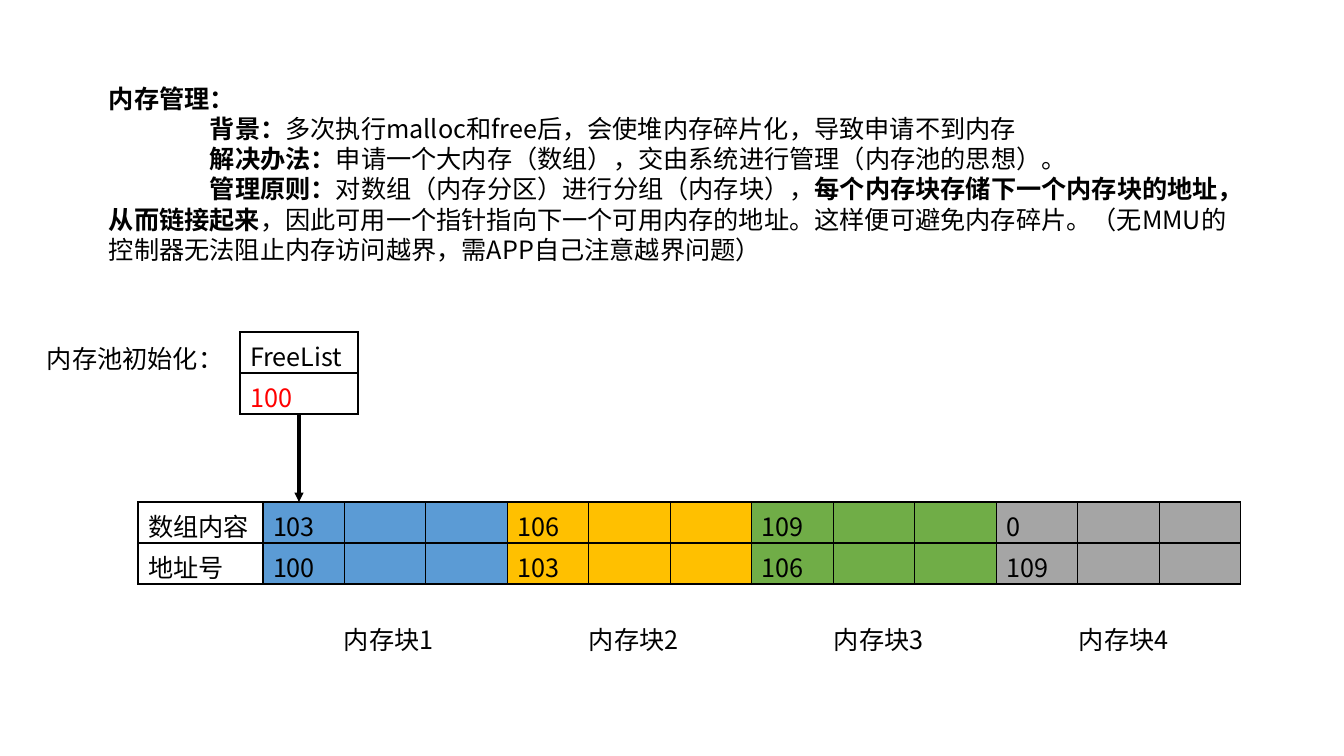
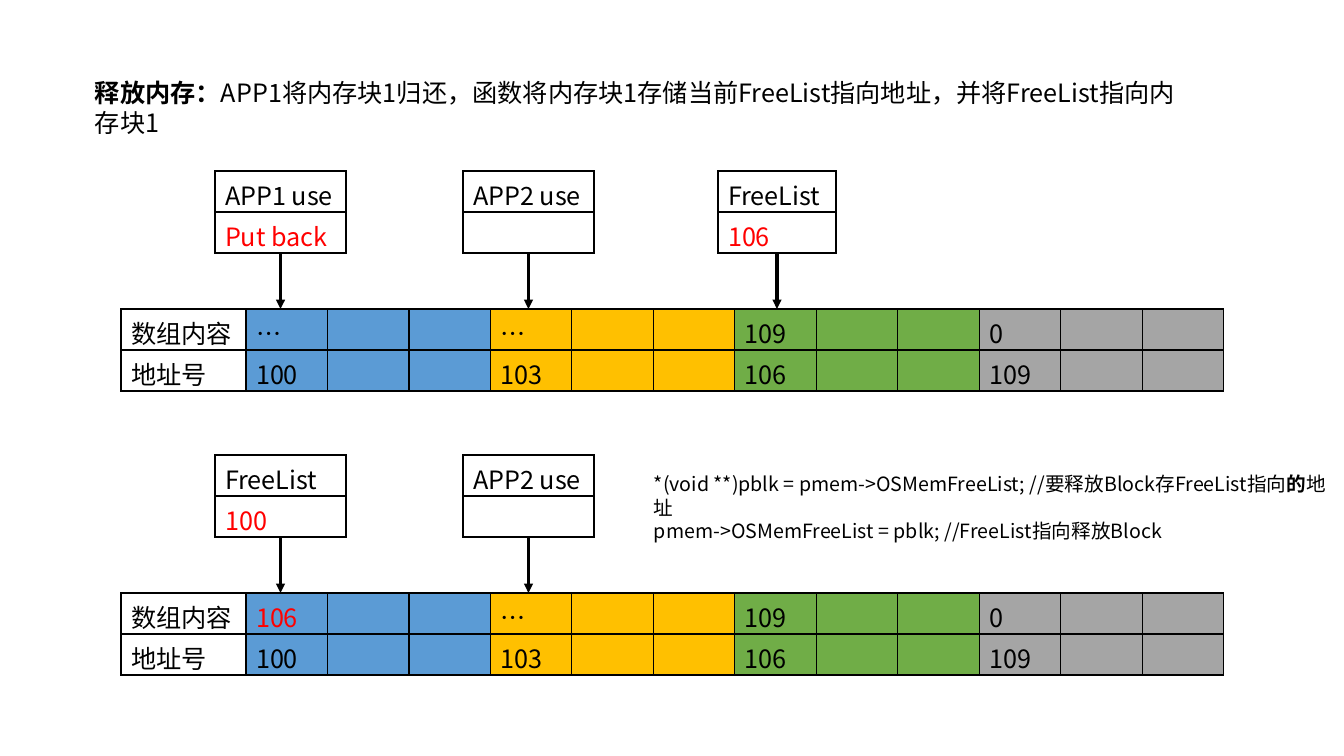
from dataclasses import dataclass
from lxml.etree import SubElement
from pptx import Presentation
from pptx.dml.color import RGBColor
from pptx.enum.shapes import MSO_CONNECTOR as Connector
from pptx.enum.text import MSO_AUTO_SIZE as AutoSize
from pptx.oxml import parse_xml
from pptx.oxml.ns import nsdecls, qn
from pptx.util import Pt


@dataclass(frozen=True)
class Theme:
    font: str = "Noto Sans CJK SC"
    ink: str = "000000"
    accent: str = "FF0000"
    paper: str = "FFFFFF"
    blocks: tuple = ("5B9BD5", "FFC000", "70AD47", "A5A5A5")
    body: int = 18
    code: int = 14
    border: float = 1
    arrow: float = 2.25


THEME = Theme()
SLIDE_SIZE = (1344, 756)
SCALE = 12192000 / SLIDE_SIZE[0]
ROW = 41
LABEL_WIDTH = 125
ARRAY_WIDTH = 1103
CELLS_PER_BLOCK = 3
INDENT = 101

ROW_LABELS = ("数组内容", "地址号")
ADDRESSES = ("100", "103", "106", "109")

INTRO = [
    (0, [("内存管理：", True)]),
    (INDENT, [("背景：", True),
              ("多次执行malloc和free后，会使堆内存碎片化，导致申请不到内存", False)]),
    (INDENT, [("解决办法：", True),
              ("申请一个大内存（数组），交由系统进行管理（内存池的思想）。", False)]),
    (INDENT, [("管理原则：", True),
              ("对数组（内存分区）进行分组（内存块），", False),
              ("每个内存块存储下一个内存块的地址，从而链接起来", True),
              ("，因此可用一个指针指向下一个可用内存的地址。这样便可避免内存碎片。"
               "（无MMU的控制器无法阻止内存访问越界，需APP自己注意越界问题）", False)]),
]
RELEASE = [
    (0, [("释放内存：", True),
         ("APP1将内存块1归还，函数将内存块1存储当前FreeList指向地址，"
          "并将FreeList指向内存块1", False)]),
]
RELEASE_CODE = [
    (0, [("*(void **)pblk = pmem->OSMemFreeList; //要释放Block存FreeList指向", False),
         ("的", True), ("地址", False)]),
    (0, [("pmem->OSMemFreeList = pblk; //FreeList指向释放Block", False)]),
]
POOL_LABEL = [(0, [("内存池初始化：", False)])]
BLOCK_LABELS = [
    ((334 + 245 * index, 619, 110, 40), [(0, [(f"内存块{index + 1}", False)])], THEME.body)
    for index in range(len(ADDRESSES))
]

PAGES = [
    {
        "texts": [((99, 78, 1155, 193), INTRO, THEME.body),
                  ((37, 338, 205, 40), POOL_LABEL, THEME.body)] + BLOCK_LABELS,
        "pools": [
            {"at": (138, 502), "contents": ("103", "106", "109", "0"), "changed": (),
             "pointer_top": 332, "pointers": [(240, 118, "FreeList", "100")]},
        ],
    },
    {
        "texts": [((85, 72, 1119, 71), RELEASE, THEME.body),
                  ((644, 467, 700, 57), RELEASE_CODE, THEME.code)],
        "pools": [
            {"at": (121, 309), "contents": ("…", "…", "109", "0"), "changed": (),
             "pointer_top": 171,
             "pointers": [(215, 131, "APP1 use", "Put back"),
                          (463, 131, "APP2 use", ""),
                          (718, 118, "FreeList", "106")]},
            {"at": (121, 593), "contents": ("106", "…", "109", "0"), "changed": (0,),
             "pointer_top": 455,
             "pointers": [(215, 131, "FreeList", "100"),
                          (463, 131, "APP2 use", "")]},
        ],
    },
]


def px(*lengths):
    return [round(length * SCALE) for length in lengths]


def style(para, size=THEME.body, color=THEME.ink):
    font = para.font
    font.size = Pt(size)
    font.name = THEME.font
    font.color.rgb = RGBColor.from_string(color)
    SubElement(font._element, qn("a:ea"), typeface=THEME.font)


def add_text(page, area, paragraphs, size):
    frame = page.shapes.add_textbox(*px(*area)).text_frame
    frame.word_wrap = True
    frame.auto_size = AutoSize.SHAPE_TO_FIT_TEXT
    for index, (indent, spans) in enumerate(paragraphs):
        para = frame.add_paragraph() if index else frame.paragraphs[0]
        style(para, size)
        if indent:
            para._p.get_or_add_pPr().set("indent", str(px(indent)[0]))
        for text, bold in spans:
            span = para.add_run()
            span.text = text
            span.font.bold = bold


def add_borders(cell):
    properties = cell._tc.get_or_add_tcPr()
    for index, side in enumerate(("lnL", "lnR", "lnT", "lnB")):
        properties.insert(index, parse_xml(
            f'<a:{side} {nsdecls("a")} w="{Pt(THEME.border)}"><a:solidFill>'
            f'<a:srgbClr val="{THEME.ink}"/></a:solidFill></a:{side}>'))


def add_grid(page, left, top, widths, rows):
    area = px(left, top, sum(widths), ROW * len(rows))
    table = page.shapes.add_table(len(rows), len(widths), *area).table
    table.first_row = table.horz_banding = False
    for column, width in zip(table.columns, widths):
        column.width = px(width)[0]
    for row, values in zip(table.rows, rows):
        row.height = px(ROW)[0]
        for cell, (text, color, fill) in zip(row.cells, values):
            cell.fill.solid()
            cell.fill.fore_color.rgb = RGBColor.from_string(fill)
            add_borders(cell)
            if text:
                cell.text = text
                style(cell.text_frame.paragraphs[0], color=color)


def block_row(label, values, changed=()):
    cells = [(label, THEME.ink, THEME.paper)]
    for index, (value, fill) in enumerate(zip(values, THEME.blocks)):
        cells.append((value, THEME.accent if index in changed else THEME.ink, fill))
        cells += [("", THEME.ink, fill)] * (CELLS_PER_BLOCK - 1)
    return cells


def add_arrow(page, center, start, end):
    arrow = page.shapes.add_connector(Connector.STRAIGHT, *px(center, start, center, end))
    arrow.line.color.rgb = RGBColor.from_string(THEME.ink)
    arrow.line.width = Pt(THEME.arrow)
    SubElement(arrow.line._get_or_add_ln(), qn("a:tailEnd"), type="triangle")
    SubElement(arrow._element.spPr, qn("a:effectLst"))


def add_pool(page, pool):
    left, top = pool["at"]
    count = len(ADDRESSES) * CELLS_PER_BLOCK
    widths = [LABEL_WIDTH] + [(ARRAY_WIDTH - LABEL_WIDTH) / count] * count
    add_grid(page, left, top, widths,
             [block_row(ROW_LABELS[0], pool["contents"], pool["changed"]),
              block_row(ROW_LABELS[1], ADDRESSES)])
    pointer_top = pool["pointer_top"]
    for pointer_left, width, name, value in pool["pointers"]:
        add_grid(page, pointer_left, pointer_top, [width],
                 [[(name, THEME.ink, THEME.paper)], [(value, THEME.accent, THEME.paper)]])
        add_arrow(page, pointer_left + width / 2, pointer_top + 2 * ROW, top)


deck = Presentation()
deck.slide_width, deck.slide_height = px(*SLIDE_SIZE)
for content in PAGES:
    page = deck.slides.add_slide(deck.slide_layouts[6])
    for area, paragraphs, size in content["texts"]:
        add_text(page, area, paragraphs, size)
    for pool in content["pools"]:
        add_pool(page, pool)
deck.save("out.pptx")
